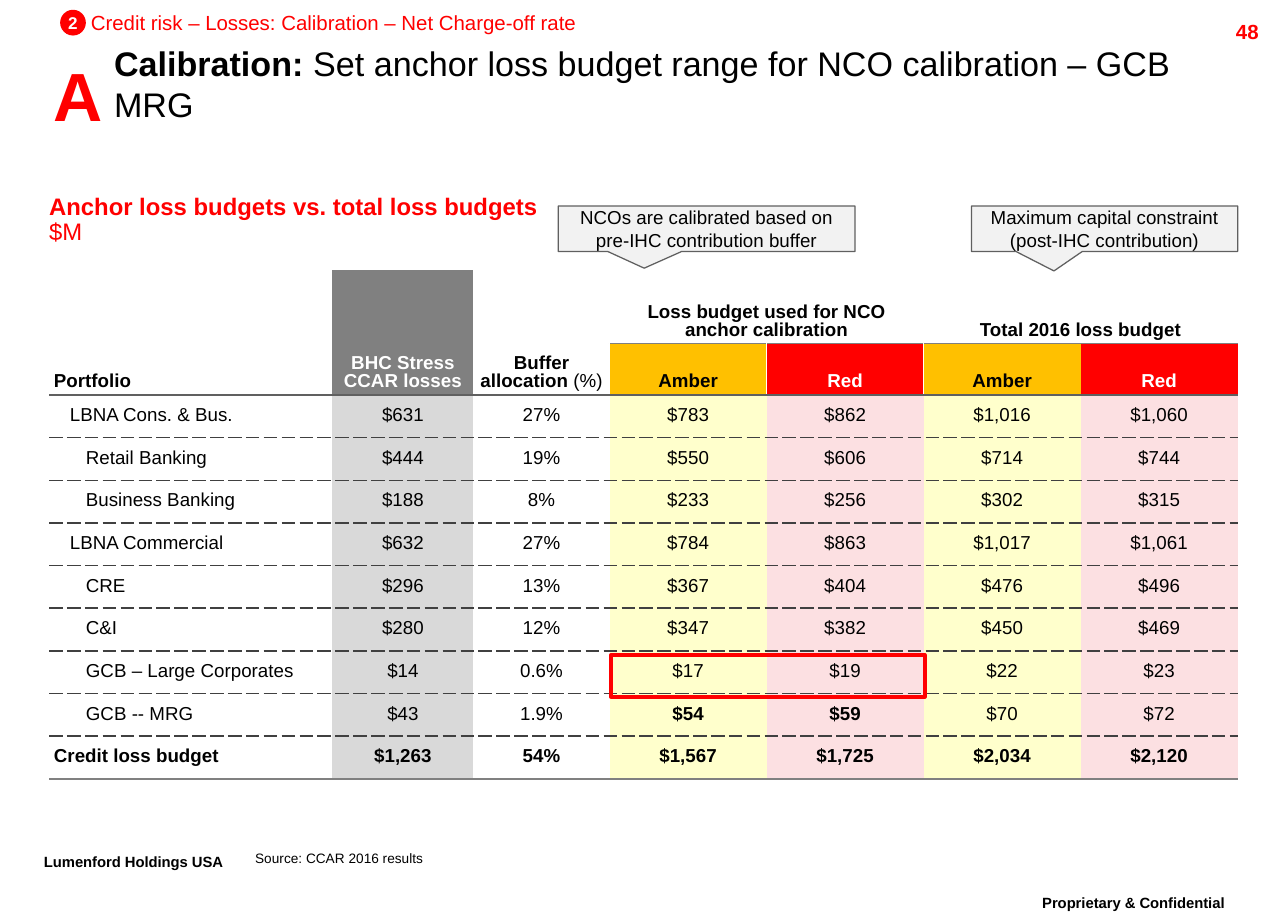
from dataclasses import dataclass
from typing import Optional

from lxml.etree import SubElement
from pptx import Presentation
from pptx.dml.color import RGBColor
from pptx.enum.shapes import MSO_SHAPE
from pptx.enum.text import MSO_ANCHOR, MSO_AUTO_SIZE, PP_ALIGN
from pptx.oxml.ns import qn
from pptx.util import Inches, Pt

FONT = "Arial"
RED, BLACK, WHITE = "FF0000", "000000", "FFFFFF"
AMBER, PALE_AMBER, PALE_RED = "FFC000", "FFFFCC", "FCE0E2"
GREY, LIGHT_GREY, RULE, DASH = "808080", "D9D9D9", "606060", "404040"
LEFT, CENTER, RIGHT = PP_ALIGN.LEFT, PP_ALIGN.CENTER, PP_ALIGN.RIGHT
TOP, MIDDLE, BOTTOM = MSO_ANCHOR.TOP, MSO_ANCHOR.MIDDLE, MSO_ANCHOR.BOTTOM
TIGHT = 0.86
NO_STYLE = "{2D5ABB26-0587-4C30-8999-92F81FD0307C}"

prs = Presentation()
prs.slide_width, prs.slide_height = Inches(10.5), Inches(7.5)
COL, ROW = prs.slide_width / 105, prs.slide_height / 75  # slide grid
s = prs.slides.add_slide(prs.slide_layouts[5])


@dataclass
class Box:
    """Place in grid columns and rows."""
    left: float
    top: float
    width: float
    height: float

    def emu(self) -> tuple[int, ...]:
        return (round(self.left * COL), round(self.top * ROW),
                round(self.width * COL), round(self.height * ROW))


@dataclass
class Label:
    box: Box
    lines: list[str]
    size: float
    color: str = BLACK
    bold: bool = False
    align: PP_ALIGN = LEFT
    inset: tuple[float, float] = (0, 0)
    spacing: Optional[float] = None
    wrap: bool = True
    raised: bool = False


@dataclass
class Callout:
    box: Box
    text: str
    tip: tuple[float, float]


@dataclass
class Line:
    color: str
    width: float = 1
    dashed: bool = False


@dataclass
class Portfolio:
    name: str
    level: int
    values: list[str]
    bold_columns: range = range(0)


def rgb(value: str) -> RGBColor:
    return RGBColor.from_string(value)


def style(p, size: float, color: str, bold: bool = False, align=LEFT, spacing=None) -> None:
    p.alignment = align
    p.line_spacing = spacing
    p.font.name, p.font.size, p.font.bold = FONT, Pt(size), bold
    p.font.color.rgb = rgb(color)


def set_insets(target, across: float, down: float) -> None:
    target.margin_left = target.margin_right = Inches(across)
    target.margin_top = target.margin_bottom = Inches(down)


def add_label(label: Label) -> None:
    tf = s.shapes.add_textbox(*label.box.emu()).text_frame
    tf.word_wrap = label.wrap
    set_insets(tf, *label.inset)
    for i, line in enumerate(label.lines):
        p = tf.paragraphs[0] if i == 0 else tf.add_paragraph()
        style(p, label.size, label.color, label.bold and i == 0, label.align, label.spacing)
        r = p.add_run()
        r.text = line
        if label.raised:
            r._r.get_or_add_rPr().set("baseline", "30000")


def add_shape(kind: MSO_SHAPE, box: Box, fill: Optional[str], line: Optional[str], width: float = 0.75):
    sp = s.shapes.add_shape(kind, *box.emu())
    sp.shadow.inherit = False
    for part, color in ((sp.fill, fill), (sp.line.fill, line)):
        if color:
            part.solid()
            part.fore_color.rgb = rgb(color)
        else:
            part.background()
    if line:
        sp.line.width = Pt(width)
    return sp


def add_callout(callout: Callout) -> None:
    sp = add_shape(MSO_SHAPE.RECTANGULAR_CALLOUT, callout.box, "F2F2F2", RULE)
    sp.adjustments[0], sp.adjustments[1] = callout.tip
    tf = sp.text_frame
    tf.word_wrap, tf.vertical_anchor = True, MIDDLE
    set_insets(tf, 0.08, 0.08)
    tf.text = callout.text
    style(tf.paragraphs[0], 11, BLACK, align=CENTER)


def fill_cell(cell, text: str, fill: str, borders: dict[str, Line], color: str = BLACK,
              bold: bool = False, align=CENTER, anchor=MIDDLE, indent: float = 0, plain: str = "") -> None:
    """Write a cell; borders are given in the order L, R, T, B."""
    tc_pr = cell._tc.get_or_add_tcPr()
    for side, line in borders.items():
        ln = SubElement(tc_pr, qn(f"a:ln{side}"), w=str(Pt(line.width)))
        SubElement(SubElement(ln, qn("a:solidFill")), qn("a:srgbClr"), val=line.color)
        SubElement(ln, qn("a:prstDash"), val="sysDash" if line.dashed else "solid")
    cell.fill.solid()
    cell.fill.fore_color.rgb = rgb(fill)
    set_insets(cell, 0.04, 0.03)
    cell.margin_left = Inches(0.04 + indent)
    cell.vertical_anchor = anchor
    p = cell.text_frame.paragraphs[0]
    style(p, 11, color, bold, align, TIGHT)
    p.add_run().text = text
    if plain:
        r = p.add_run()
        r.text, r.font.bold = plain, False


# Title and section marker
title = s.shapes.title
title.left, title.top, title.width, title.height = Box(9.3, 4.4, 89.3, 4.8).emu()
tf = title.text_frame
tf.word_wrap, tf.auto_size, tf.vertical_anchor = True, MSO_AUTO_SIZE.NONE, MIDDLE
set_insets(tf, 0, 0)
p = tf.paragraphs[0]
style(p, 20, BLACK)
for text, bold in (("Calibration: ", True), ("Set anchor loss budget range for NCO calibration – GCB MRG", False)):
    r = p.add_run()
    r.text, r.font.bold = text, bold

# Labels
INSET = (0.1, 0.05)
for label in (
    Label(Box(81.5, 72.5, 21.8, 3.5), ["Proprietary & Confidential"], 15, bold=True,
          align=CENTER, inset=INSET, spacing=TIGHT, raised=True),
    Label(Box(2.6, 69.1, 19.1, 3.5), ["Lumenford Holdings USA"], 15, bold=True,
          inset=INSET, spacing=TIGHT, wrap=False, raised=True),
    Label(Box(93.6, 1.1, 10, 2.4), ["48"], 12, RED, True, RIGHT, INSET),
    Label(Box(3.3, 3.9, 6.1, 7.7), ["A"], 40, RED, True, CENTER, INSET, wrap=False),
    Label(Box(4, 16, 57.5, 4.1), ["Anchor loss budgets vs. total loss budgets", "$M"], 14, RED, True, spacing=TIGHT),
    Label(Box(7.4, 0.8, 39.9, 2), ["Credit risk – Losses: Calibration – Net Charge-off rate"], 12, RED, wrap=False),
    Label(Box(20.8, 69.3, 13.8, 1.3), ["Source: CCAR 2016 results"], 8, wrap=False),
):
    add_label(label)

# Loss budget table
portfolios = [
    Portfolio("LBNA Cons. & Bus.", 1, ["$631", "27%", "$783", "$862", "$1,016", "$1,060"]),
    Portfolio("Retail Banking", 2, ["$444", "19%", "$550", "$606", "$714", "$744"]),
    Portfolio("Business Banking", 2, ["$188", "8%", "$233", "$256", "$302", "$315"]),
    Portfolio("LBNA Commercial", 1, ["$632", "27%", "$784", "$863", "$1,017", "$1,061"]),
    Portfolio("CRE", 2, ["$296", "13%", "$367", "$404", "$476", "$496"]),
    Portfolio("C&I", 2, ["$280", "12%", "$347", "$382", "$450", "$469"]),
    Portfolio("GCB – Large Corporates", 2, ["$14", "0.6%", "$17", "$19", "$22", "$23"]),
    Portfolio("GCB -- MRG", 2, ["$43", "1.9%", "$54", "$59", "$70", "$72"], range(3, 5)),
    Portfolio("Credit loss budget", 0, ["$1,263", "54%", "$1,567", "$1,725", "$2,034", "$2,120"], range(7)),
]
widths = [23.1, 11.5, 11.1] + [12.8] * 4
heights = [6, 4.2] + [3.48] * len(portfolios)
frame = s.shapes.add_table(len(heights), len(widths), *Box(4, 22, sum(widths), sum(heights)).emu())
table = frame.table
frame._element.find(".//" + qn("a:tableStyleId")).text = NO_STYLE
table.first_row = table.horz_banding = False
for column, width in zip(table.columns, widths):
    column.width = round(width * COL)
for row, height in zip(table.rows, heights):
    row.height = round(height * ROW)

# Table headings
for c, (text, plain, fill, color, align) in enumerate((
    ("Portfolio", "", WHITE, BLACK, LEFT),
    ("BHC Stress CCAR losses", "", GREY, WHITE, CENTER),
    ("Buffer allocation ", "(%)", WHITE, BLACK, CENTER),
)):
    table.cell(0, c).merge(table.cell(1, c))
    fill_cell(table.cell(0, c), text, fill, {"B": Line(RULE)}, color, True, align, BOTTOM, plain=plain)
for c, text in ((3, "Loss budget used for NCO anchor calibration"), (5, "Total 2016 loss budget")):
    table.cell(0, c).merge(table.cell(0, c + 1))
    fill_cell(table.cell(0, c), text, WHITE, {"B": Line(GREY)}, bold=True, anchor=BOTTOM)
    for k, (name, fill, color) in enumerate((("Amber", AMBER, BLACK), ("Red", RED, WHITE))):
        sides = {"L": Line(WHITE), "R": Line(WHITE)} if c == 3 else {}
        fill_cell(table.cell(1, c + k), name, fill, sides | {"T": Line(GREY), "B": Line(RULE)},
                  color, True, anchor=BOTTOM)

# Table body
fills = [WHITE, LIGHT_GREY, WHITE] + [PALE_AMBER, PALE_RED] * 2
for i, item in enumerate(portfolios):
    above = Line(DASH, dashed=True) if i else Line(RULE)
    below = Line(GREY, 1.5) if i == len(portfolios) - 1 else Line(DASH, dashed=True)
    for c, text in enumerate([item.name] + item.values):
        fill_cell(table.cell(i + 2, c), text, fills[c], {"T": above, "B": below},
                  bold=c in item.bold_columns, align=CENTER if c else LEFT,
                  indent=0 if c else 0.13 * item.level)

# Highlight, callouts and section number
add_shape(MSO_SHAPE.RECTANGLE, Box(49.8, 53.4, 25.6, 3.4), None, RED, 2.25)
add_callout(Callout(Box(45.5, 16.8, 24.2, 3.7), "NCOs are calibrated based on pre-IHC contribution buffer", (-0.21, 0.87)))
add_callout(Callout(Box(79.2, 16.8, 21.7, 3.7), "Maximum capital constraint (post-IHC contribution)", (-0.19, 0.93)))
badge = add_shape(MSO_SHAPE.OVAL, Box(4.9, 0.8, 2.1, 2.1), RED, None).text_frame
badge.word_wrap, badge.vertical_anchor = False, MIDDLE
badge.text = "2"
style(badge.paragraphs[0], 10, WHITE, True, CENTER)

prs.save("out.pptx")
